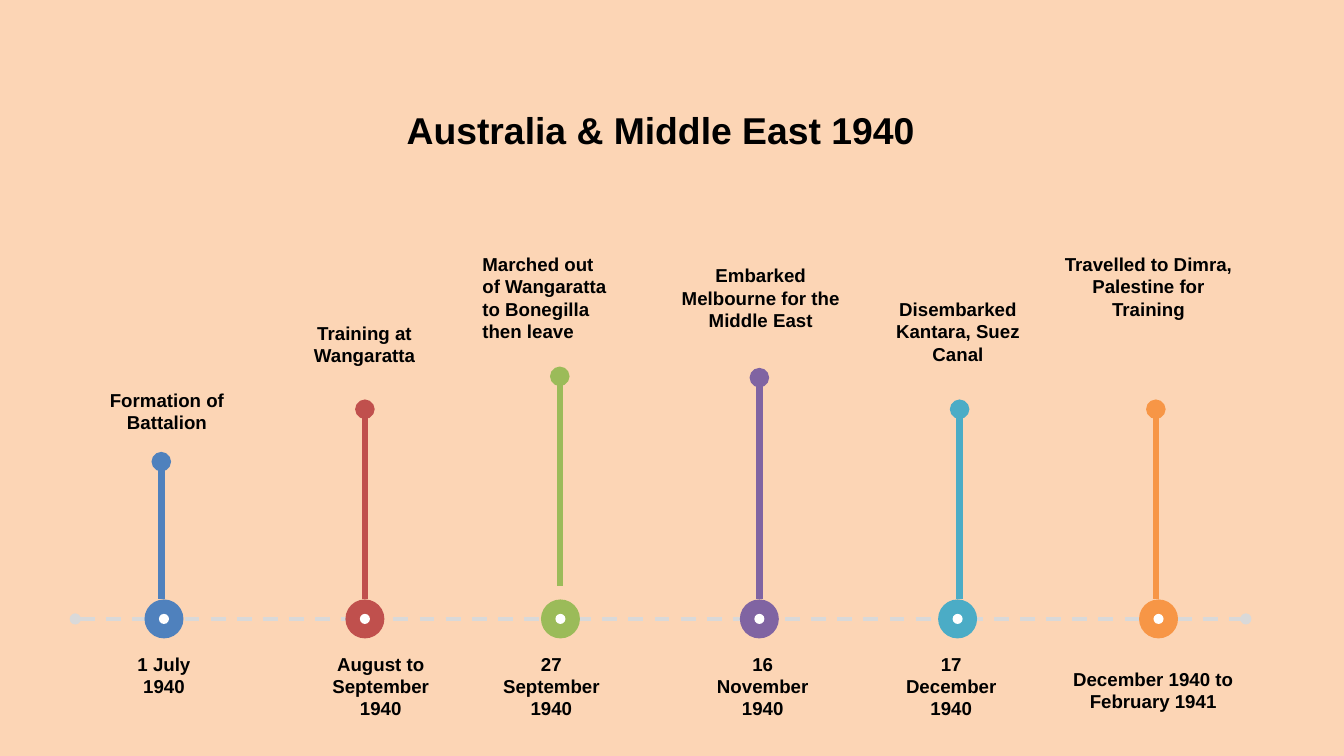
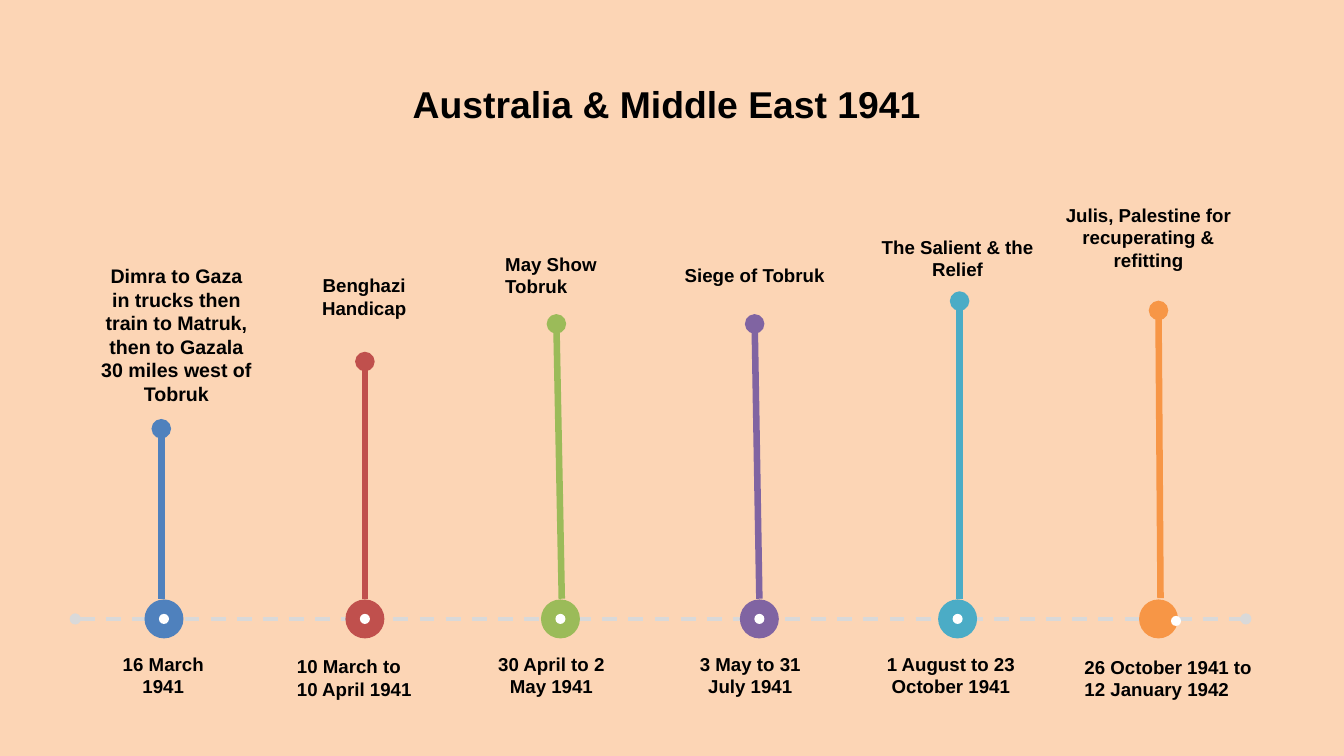
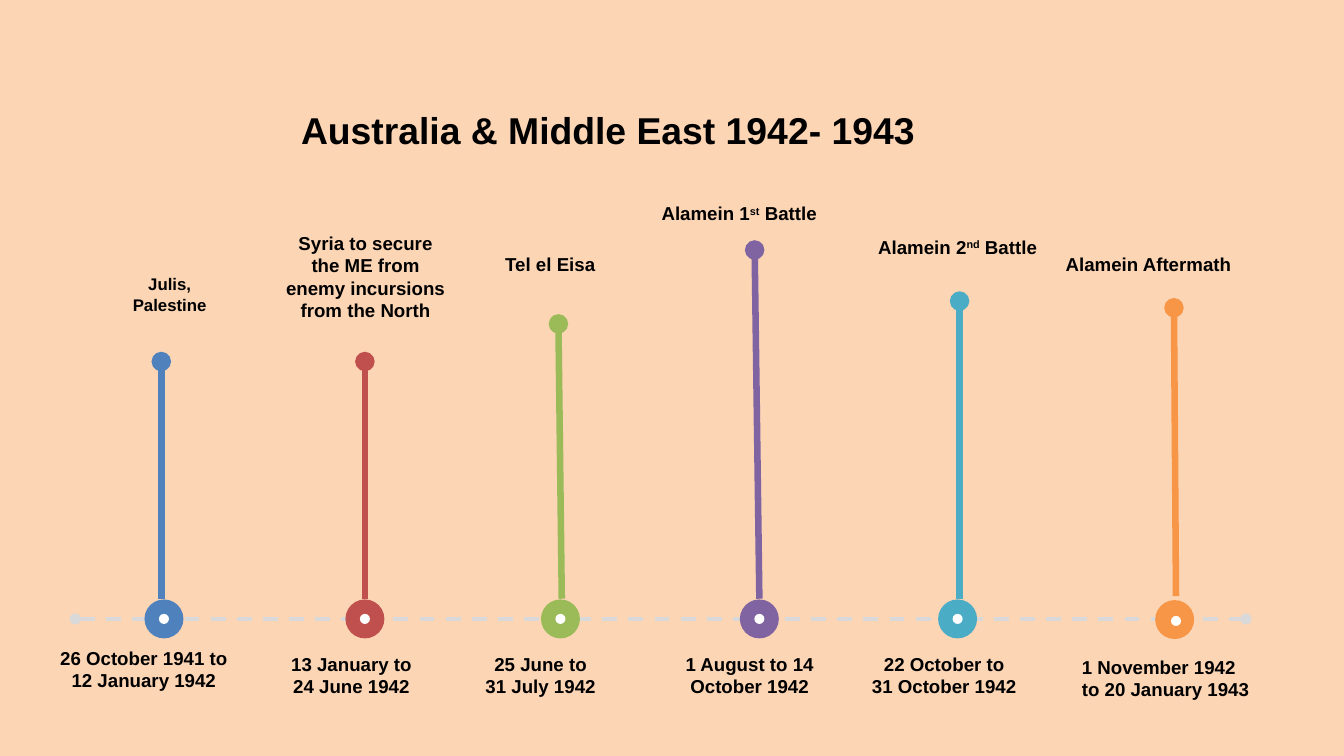
from dataclasses import dataclass
from typing import Optional

from lxml.etree import SubElement
from pptx import Presentation
from pptx.dml.color import RGBColor
from pptx.enum.dml import MSO_LINE
from pptx.enum.shapes import MSO_CONNECTOR, MSO_SHAPE
from pptx.enum.text import MSO_ANCHOR, MSO_AUTO_SIZE, PP_ALIGN
from pptx.oxml.ns import qn
from pptx.util import Inches, Pt

CENTER, LEFT = PP_ALIGN.CENTER, PP_ALIGN.LEFT


@dataclass(frozen=True)
class Theme:
    font: str = "Arial"
    background: str = "FCD5B5"
    text: str = "000000"
    axis: str = "D9D9D9"
    dot: str = "FFFFFF"
    accents: tuple = ("4F81BD", "C0504D", "9BBB59", "8064A2", "4BACC6", "F79646")
    title_size: int = 40
    text_size: int = 20
    axis_width: int = 4
    stem_width: int = 7


@dataclass
class Note:
    text: str
    at: tuple
    align: PP_ALIGN = CENTER
    size: int = 20


@dataclass
class Event:
    """A stem from foot up to top, with what happened above and when below."""
    what: Note
    when: Note
    top: tuple
    foot: tuple
    ring: Optional[tuple] = None
    dot: Optional[tuple] = None


THEME = Theme()
COLUMNS, ROWS = 20, 11.25
UNIT = Inches(1)  # side of one square grid cell
AXIS_ROW, AXIS_ENDS = 9.21, (1.12, 18.54)
RING_COLUMNS = (2.44, 5.43, 8.34, 11.3, 14.25, 17.24)
RING, DOT = 0.58, 0.15
FOOT, DATE_ROW = 8.91, 9.66

TIMELINES = [
    ("Australia & Middle East 1940", (5.83, 1.54, 8, 0.77), [
        Event(Note("Formation of Battalion", (1.12, 5.73, 2.73, 0.81)),
              Note("1 July 1940", (1.64, DATE_ROW, 1.6, 0.77)),
              (2.4, 6.87), (2.4, FOOT)),
        Event(Note("Training at Wangaratta", (4.06, 4.74, 2.73, 0.81)),
              Note("August to September 1940", (4.54, DATE_ROW, 2.25, 1.11)),
              (5.43, 6.09), (5.43, FOOT)),
        Event(Note("Marched out of Wangaratta to Bonegilla then leave",
                   (7.08, 3.71, 2.17, 1.45), LEFT),
              Note("27 September 1940", (7.25, DATE_ROW, 1.91, 1.11)),
              (8.33, 5.6), (8.33, 8.72)),
        Event(Note("Embarked Melbourne for the Middle East", (9.95, 3.88, 2.74, 1.11)),
              Note("16 November 1940", (10.55, DATE_ROW, 1.6, 1.11)),
              (11.3, 5.62), (11.3, FOOT)),
        Event(Note("Disembarked Kantara, Suez Canal", (12.88, 4.38, 2.75, 1.13)),
              Note("17 December 1940", (13.25, DATE_ROW, 1.81, 1.11)),
              (14.28, 6.09), (14.28, FOOT)),
        Event(Note("Travelled to Dimra, Palestine for Training",
                   (15.62, 3.71, 2.94, 1.11)),
              Note("December 1940 to February 1941", (15.75, 9.89, 2.82, 0.77)),
              (17.2, 6.09), (17.2, FOOT)),
    ]),
    ("Australia & Middle East 1941", (5.92, 1.16, 8, 0.77), [
        Event(Note("Dimra to Gaza in trucks then train to Matruk, "
                   "then to Gazala 30 miles west of Tobruk",
                   (1.4, 3.88, 2.45, 2.22), size=21),
              Note("16 March\v1941", (1.33, DATE_ROW, 2.2, 0.77)),
              (2.4, 6.38), (2.4, FOOT)),
        Event(Note("Benghazi\vHandicap", (4.04, 4.03, 2.76, 0.77)),
              Note("10 March to 10 April 1941", (4.32, 9.7, 2.04, 0.77), LEFT),
              (5.43, 5.38), (5.43, FOOT)),
        Event(Note("May Show Tobruk", (7.42, 3.71, 1.83, 0.77), LEFT),
              Note("30 April to 2 May 1941", (7.25, DATE_ROW, 1.91, 0.77)),
              (8.28, 4.82), (8.36, FOOT)),
        Event(Note("Siege of Tobruk", (9.95, 3.88, 2.56, 0.44)),
              Note("3 May to 31 July 1941", (10.18, DATE_ROW, 1.97, 0.77)),
              (11.23, 4.82), (11.3, FOOT)),
        Event(Note("The Salient & the Relief", (12.87, 3.46, 2.76, 0.77)),
              Note("1 August to 23 October 1941", (13.05, DATE_ROW, 2.2, 0.77)),
              (14.28, 4.48), (14.28, FOOT)),
        Event(Note("Julis, Palestine for recuperating & refitting",
                   (15.62, 2.98, 2.94, 1.11)),
              Note("26 October 1941 to 12 January 1942", (16.04, 9.71, 2.8, 0.77), LEFT),
              (17.24, 4.62), (17.27, 8.9), dot=(17.5, 9.24)),
    ]),
    ("Australia & Middle East 1942- 1943", (4.17, 1.55, 9.75, 0.77), [
        Event(Note("Julis, Palestine", (1.64, 4.03, 1.77, 0.71), size=18),
              Note("26 October 1941 to 12 January 1942", (0.75, 9.57, 2.78, 1.11)),
              (2.4, 5.38), (2.4, FOOT)),
        Event(Note("Syria to secure the ME from enemy incursions from the North",
                   (4.11, 3.4, 2.66, 1.46)),
              Note("13 January to 24 June 1942", (4.23, DATE_ROW, 2, 0.77)),
              (5.43, 5.38), (5.43, FOOT)),
        Event(Note("Tel el Eisa", (7.42, 3.71, 1.83, 0.44), LEFT),
              Note("25 June to\n31 July 1942", (6.93, DATE_ROW, 2.23, 0.77)),
              (8.31, 4.82), (8.36, FOOT)),
        Event(Note("Alamein 1^st^ Battle", (9.55, 2.96, 2.9, 0.44)),
              Note("1 August to 14 October 1942", (10, DATE_ROW, 2.31, 0.77)),
              (11.23, 3.72), (11.3, FOOT)),
        Event(Note("Alamein 2^nd^ Battle", (12.87, 3.46, 2.76, 0.44)),
              Note("22 October to\v31 October 1942", (12.85, DATE_ROW, 2.4, 0.77)),
              (14.28, 4.48), (14.28, FOOT)),
        Event(Note("Alamein Aftermath", (15.62, 3.71, 2.94, 0.44)),
              Note("1 November 1942 to 20 January 1943", (16, 9.71, 2.78, 0.77), LEFT),
              (17.47, 4.58), (17.5, 8.87), ring=(17.48, 9.22), dot=(17.5, 9.24)),
    ]),
]


def grid(*cells):
    return [int(n * UNIT) for n in cells]


def rgb(color):
    return RGBColor.from_string(color)


def format_text(tf, size, align):
    tf.word_wrap = True
    tf.auto_size = MSO_AUTO_SIZE.SHAPE_TO_FIT_TEXT
    for p in tf.paragraphs:
        p.alignment = align
        p.font.name = THEME.font
        p.font.size = Pt(size)
        p.font.bold = True
        p.font.color.rgb = rgb(THEME.text)


def set_title(slide, text, at):
    sp = slide.shapes.title
    sp.left, sp.top, sp.width, sp.height = grid(*at)
    sp.text_frame.text = text
    sp.text_frame.vertical_anchor = MSO_ANCHOR.TOP
    format_text(sp.text_frame, THEME.title_size, CENTER)


def add_note(slide, note):
    """Add a text box; text between ^ marks is raised."""
    tf = slide.shapes.add_textbox(*grid(*note.at)).text_frame
    if "^" in note.text:
        for i, part in enumerate(note.text.split("^")):
            r = tf.paragraphs[0].add_run()
            r.text = part
            if i % 2:
                r._r.get_or_add_rPr().set("baseline", "30000")
    else:
        tf.text = note.text
    format_text(tf, note.size, note.align)


def add_circle(slide, center, diameter, color):
    x, y = center
    sp = slide.shapes.add_shape(
        MSO_SHAPE.OVAL,
        *grid(x - diameter / 2, y - diameter / 2, diameter, diameter))
    sp.shadow.inherit = False
    sp.fill.solid()
    sp.fill.fore_color.rgb = rgb(color)
    sp.line.fill.background()


def add_line(slide, start, end, color, width, oval_ends, dash=None):
    cx = slide.shapes.add_connector(MSO_CONNECTOR.STRAIGHT, *grid(*start, *end))
    cx.line.color.rgb = rgb(color)
    cx.line.width = Pt(width)
    if dash:
        cx.line.dash_style = dash
    ln = cx.line._get_or_add_ln()
    for name in oval_ends:
        SubElement(ln, qn(f"a:{name}"), type="oval")
    SubElement(cx._element.spPr, qn("a:effectLst"))


def add_event(slide, event, column, color):
    ring = event.ring or (column, AXIS_ROW)
    add_circle(slide, ring, RING, color)
    add_circle(slide, event.dot or ring, DOT, THEME.dot)
    add_line(slide, event.foot, event.top, color, THEME.stem_width, ["tailEnd"])
    add_note(slide, event.what)
    add_note(slide, event.when)


def add_timeline(prs, title, title_at, events):
    slide = prs.slides.add_slide(prs.slide_layouts.get_by_name("Title Only"))
    set_title(slide, title, title_at)
    start, end = ((x, AXIS_ROW) for x in AXIS_ENDS)
    add_line(slide, start, end, THEME.axis, THEME.axis_width,
             ["headEnd", "tailEnd"], MSO_LINE.DASH)
    for event, column, color in zip(events, RING_COLUMNS, THEME.accents):
        add_event(slide, event, column, color)


def main():
    prs = Presentation()
    prs.slide_width, prs.slide_height = grid(COLUMNS, ROWS)
    fill = prs.slide_master.background.fill
    fill.solid()
    fill.fore_color.rgb = rgb(THEME.background)
    for title, title_at, events in TIMELINES:
        add_timeline(prs, title, title_at, events)
    prs.save("out.pptx")


if __name__ == "__main__":
    main()
